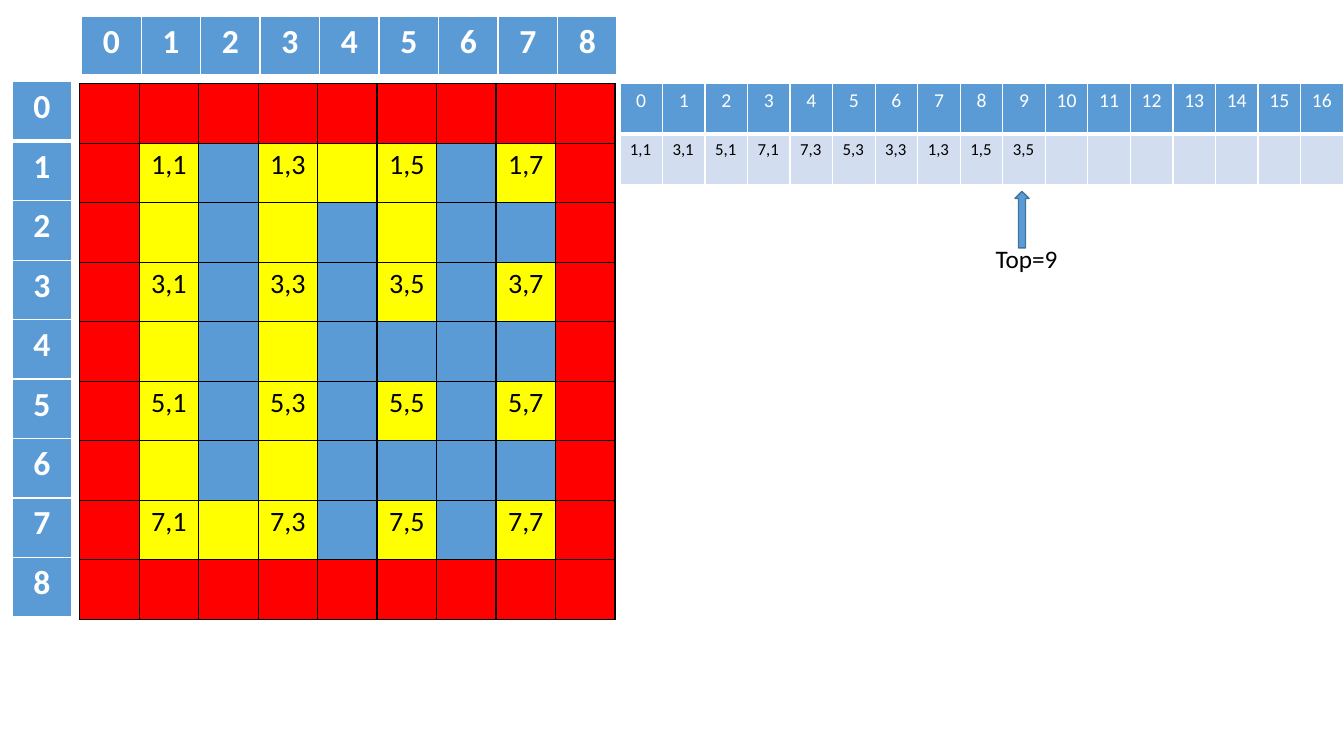
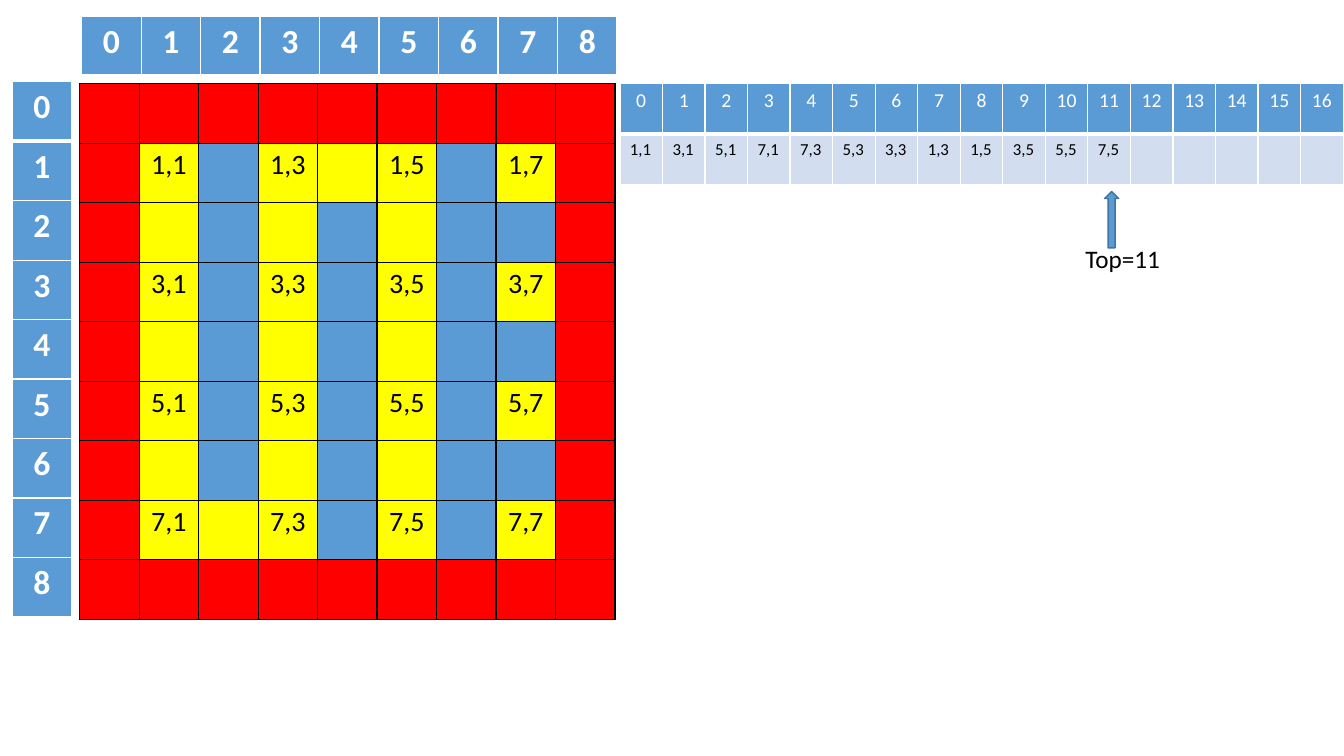
from dataclasses import dataclass

from pptx import Presentation
from pptx.dml.color import RGBColor
from pptx.enum.shapes import MSO_SHAPE
from pptx.enum.text import MSO_AUTO_SIZE, PP_ALIGN
from pptx.oxml.ns import qn
from pptx.util import Pt
from lxml import etree

ARROW = MSO_SHAPE.UP_ARROW
FIT = MSO_AUTO_SIZE.SHAPE_TO_FIT_TEXT
LEFT, MID = PP_ALIGN.LEFT, PP_ALIGN.CENTER

# Content: cells visited in order, then one entry per slide
WALK = [(1, 1), (3, 1), (5, 1), (7, 1), (7, 3), (5, 3),
        (3, 3), (1, 3), (1, 5), (3, 5), (5, 5), (7, 5)]
STEPS = [
    {"top": 9, "x": 725, "wide": 59},
    {"top": 11, "x": 789, "wide": 68.4},
]
SIDE = 9
SLOTS = 17
CELL = 42.5


@dataclass(frozen=True)
class Theme:
    font: str = "Calibri"
    white: str = "FFFFFF"
    black: str = "000000"
    blue: str = "5B9BD5"
    edge: str = "43739E"
    pale: str = "D2DEEF"
    wall: str = "FF0000"
    way: str = "FFFF00"
    head: int = 24
    room: int = 20
    note: int = 18
    slot: int = 14
    item: int = 12
    thin: int = 1
    thick: int = 3


T = Theme()


def rgb(code):
    return RGBColor.from_string(code)


def write(frame, text, size, color, align=LEFT, bold=False):
    para = frame.paragraphs[0]
    para.alignment = align
    run = para.add_run()
    run.text = text
    font = run.font
    font.name, font.size, font.bold = T.font, Pt(size), bold
    font.color.rgb = rgb(color)


def border(cell, color, top, low):
    props = cell._tc.get_or_add_tcPr()
    for tag, width in (("L", T.thin), ("R", T.thin), ("T", top), ("B", low)):
        line = etree.SubElement(props, qn(f"a:ln{tag}"), w=str(Pt(width)))
        fill = etree.SubElement(line, qn("a:solidFill"))
        etree.SubElement(fill, qn("a:srgbClr"), val=color)


def table(slide, box, rows, line, thick=False):
    """Rows hold (text, fill, style); thick widens the line below row one."""
    frame = slide.shapes.add_table(len(rows), len(rows[0]), *map(Pt, box))
    grid = frame.table
    grid.first_row = grid.horz_banding = False
    for r, row in enumerate(rows):
        top = T.thick if thick and r == 1 else T.thin
        low = T.thick if thick and r == 0 else T.thin
        for c, (text, fill, style) in enumerate(row):
            cell = grid.cell(r, c)
            border(cell, line, top, low)
            cell.fill.solid()
            cell.fill.fore_color.rgb = rgb(fill)
            if text:
                write(cell.text_frame, text, *style)


def label(spot):
    return f"{spot[0]},{spot[1]}"


def maze(walk):
    """Rooms sit on odd cells; each step of the walk opens the wall between."""
    doors = {((a + c) // 2, (b + d) // 2)
             for (a, b), (c, d) in zip(walk, walk[1:])}
    style = (T.room, T.black, MID)

    def tile(r, c):
        if r in (0, SIDE - 1) or c in (0, SIDE - 1):
            return "", T.wall, style
        if r % 2 and c % 2:
            return label((r, c)), T.way, style
        return "", T.way if (r, c) in doors else T.blue, style

    return [[tile(r, c) for c in range(SIDE)] for r in range(SIDE)]


def stack(walk):
    head = [(str(i), T.blue, (T.slot, T.white, MID)) for i in range(SLOTS)]
    texts = [label(spot) for spot in walk] + [""] * (SLOTS - len(walk))
    return [head, [(t, T.pale, (T.item, T.black)) for t in texts]]


def pointer(slide, top, x, wide):
    group = slide.shapes.add_group_shape()
    arrow = group.shapes.add_shape(ARROW, Pt(x), Pt(136.8), Pt(10.1), Pt(40.3))
    arrow.shadow.inherit = False
    arrow.fill.solid()
    arrow.fill.fore_color.rgb = rgb(T.blue)
    arrow.line.color.rgb = rgb(T.edge)
    arrow.line.width = Pt(T.thin)
    note = group.shapes.add_textbox(Pt(x - 20.9), Pt(170), Pt(wide), Pt(29))
    note.text_frame.word_wrap = False
    note.text_frame.auto_size = FIT
    write(note.text_frame, f"Top={top}", T.note, T.black)


def build(deck, step):
    slide = deck.slides.add_slide(deck.slide_layouts[6])
    walk = WALK[:step["top"] + 1]
    span = SIDE * CELL
    axis = [(str(i), T.blue, (T.head, T.white, MID, True)) for i in range(SIDE)]
    # Maze with its column and row numbers
    table(slide, (56.9, 59.8, span, span), maze(walk), T.black)
    table(slide, (58.3, 11.5, span, CELL), [axis], T.white, True)
    table(slide, (8.6, 58.3, CELL, span), [[a] for a in axis], T.white, True)
    # Stack and its top marker
    table(slide, (442.8, 59.8, 517, 72), stack(walk), T.white, True)
    pointer(slide, **step)


def main():
    deck = Presentation()
    deck.slide_width, deck.slide_height = Pt(960), Pt(540)
    for step in STEPS:
        build(deck, step)
    deck.save("out.pptx")


if __name__ == "__main__":
    main()
